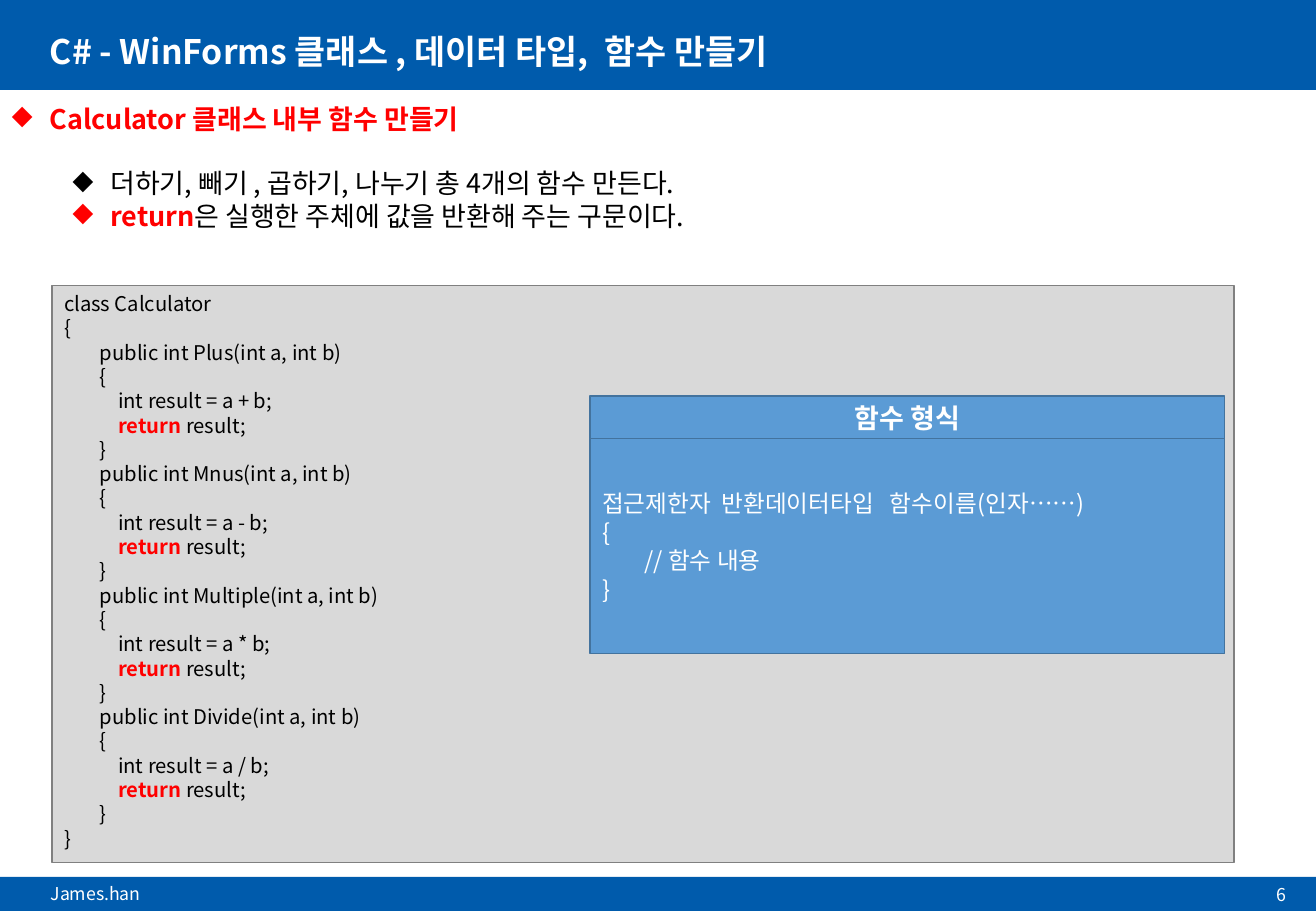
from lxml import etree
from pptx import Presentation
from pptx.dml.color import RGBColor
from pptx.enum import shapes, text
from pptx.oxml.ns import qn
from pptx.util import Cm, Pt

FONT = "Noto Sans CJK KR"
NAVY = RGBColor(0x00, 0x5B, 0xAC)
BLUE = RGBColor(0x5B, 0x9B, 0xD5)
BLUE_EDGE = RGBColor(0x43, 0x73, 0x9E)
LIGHT_GRAY = RGBColor(0xD9, 0xD9, 0xD9)
GRAY = RGBColor(0x80, 0x80, 0x80)
RED = RGBColor(0xFF, 0x00, 0x00)
BLACK = RGBColor(0x00, 0x00, 0x00)
WHITE = RGBColor(0xFF, 0xFF, 0xFF)
LEFT, CENTER, RIGHT = (text.PP_ALIGN.LEFT, text.PP_ALIGN.CENTER,
                       text.PP_ALIGN.RIGHT)
TOP, MIDDLE = text.MSO_ANCHOR.TOP, text.MSO_ANCHOR.MIDDLE
WIDTH, HEIGHT = Cm(27.51), Cm(19.05)

presentation = Presentation()
presentation.slide_width, presentation.slide_height = WIDTH, HEIGHT
slide = presentation.slides.add_slide(presentation.slide_layouts[5])


def add_box(left, top, width, height, fill, edge=None, edge_width=1):
    shape = slide.shapes.add_shape(
        shapes.MSO_SHAPE.RECTANGLE, left, top, width, height)
    shape.shadow.inherit = False
    shape.fill.solid()
    shape.fill.fore_color.rgb = fill
    if edge is None:
        shape.line.fill.background()
    else:
        shape.line.color.rgb = edge
        shape.line.width = Pt(edge_width)
    return shape


def write(shape, lines, size, align=LEFT, anchor=TOP):
    """Each line is (indent in cm, [(text, colour, bold), ...])."""
    frame = shape.text_frame
    frame.word_wrap = True
    frame.auto_size = text.MSO_AUTO_SIZE.NONE
    frame.vertical_anchor = anchor
    for number, (indent, runs) in enumerate(lines):
        paragraph = frame.add_paragraph() if number else frame.paragraphs[0]
        paragraph.alignment = align
        paragraph.line_spacing = Pt(size * 1.2)
        if indent:
            paragraph._p.get_or_add_pPr().set("marL", str(Cm(indent)))
        for words, color, bold in runs:
            run = paragraph.add_run()
            run.text = words
            run.font.name = FONT
            run.font.size = Pt(size)
            run.font.bold = bold
            run.font.color.rgb = color
            east_asian = etree.SubElement(run.font._element, qn("a:ea"))
            east_asian.set("typeface", FONT)


# Header and footer bars, behind the title
for position, (top, height) in enumerate([(0, Cm(1.88)),
                                          (Cm(18.34), Cm(0.71))]):
    bar = add_box(0, top, WIDTH, height, NAVY)
    slide.shapes._spTree.insert(2 + position, bar._element)

# Title
title = slide.shapes.title
title.left, title.top = Cm(0.79), Cm(0.64)
title.width, title.height = Cm(25.98), Cm(0.97)
write(title, [(0, [("C# - WinForms 클래스 , 데이터 타입,  함수 만들기", WHITE, True)])],
      20, anchor=MIDDLE)
title.text_frame.paragraphs[0].line_spacing = 0.9

# Footer name and page number
author = slide.shapes.add_textbox(Cm(0.81), Cm(18.34), Cm(18.77), Cm(0.71))
write(author, [(0, [("James.han", WHITE, False)])], 10.5)
page = slide.shapes.add_textbox(Cm(23.29), Cm(18.39), Cm(3.84), Cm(0.64))
write(page, [(0, [("6", WHITE, False)])], 10.5, RIGHT, MIDDLE)

# Bulleted explanation
body = slide.shapes.add_textbox(0, Cm(2.01), WIDTH, Cm(3.9))
write(body, [
    (0.79, [("Calculator 클래스 내부 함수 만들기", RED, True)]),
    (2.06, [("더하기, 빼기 , 곱하기, 나누기 총 4개의 함수 만든다.", BLACK, False)]),
    (2.06, [("return", RED, True),
            ("은 실행한 주체에 값을 반환해 주는 구문이다.", BLACK, False)]),
], 16)
for paragraph in body.text_frame.paragraphs:
    properties = paragraph._p.get_or_add_pPr()
    properties.set("indent", str(-Cm(0.79)))
    etree.SubElement(properties, qn("a:buChar")).set("char", "◆")
for paragraph in body.text_frame.paragraphs[1:]:
    paragraph.level = 1
body.text_frame.paragraphs[1].space_before = Pt(19.2)

# Code listing: four functions of the same form
MEMBER, STATEMENT = 0.75, 1.13
code = [(0, [("class Calculator", BLACK, False)]), (0, [("{", BLACK, False)])]
for name, operator in [("Plus", "+"), ("Mnus", "-"),
                       ("Multiple", "*"), ("Divide", "/")]:
    code += [
        (MEMBER, [(f"public int {name}(int a, int b)", BLACK, False)]),
        (MEMBER, [("{", BLACK, False)]),
        (STATEMENT, [(f"int result = a {operator} b;", BLACK, False)]),
        (STATEMENT, [("return ", RED, True), ("result;", BLACK, False)]),
        (MEMBER, [("}", BLACK, False)]),
    ]
code.append((0, [("}", BLACK, False)]))
listing = add_box(Cm(1.09), Cm(5.97), Cm(24.71), Cm(12.07),
                  LIGHT_GRAY, GRAY, 0.75)
write(listing, code, 12)

# Function form panel and its heading
form = add_box(Cm(12.34), Cm(9.17), Cm(13.26), Cm(4.5), BLUE, BLUE_EDGE)
write(form, [
    (0, [("접근제한자  반환데이터타입   함수이름(인자……)", WHITE, False)]),
    (0, [("{", WHITE, False)]),
    (0.88, [("// 함수 내용", WHITE, False)]),
    (0, [("}", WHITE, False)]),
], 14, anchor=MIDDLE)
heading = add_box(Cm(12.34), Cm(8.28), Cm(13.26), Cm(0.89), BLUE, BLUE_EDGE)
write(heading, [(0, [("함수 형식", WHITE, True)])], 16, CENTER, MIDDLE)

presentation.save("out.pptx")
